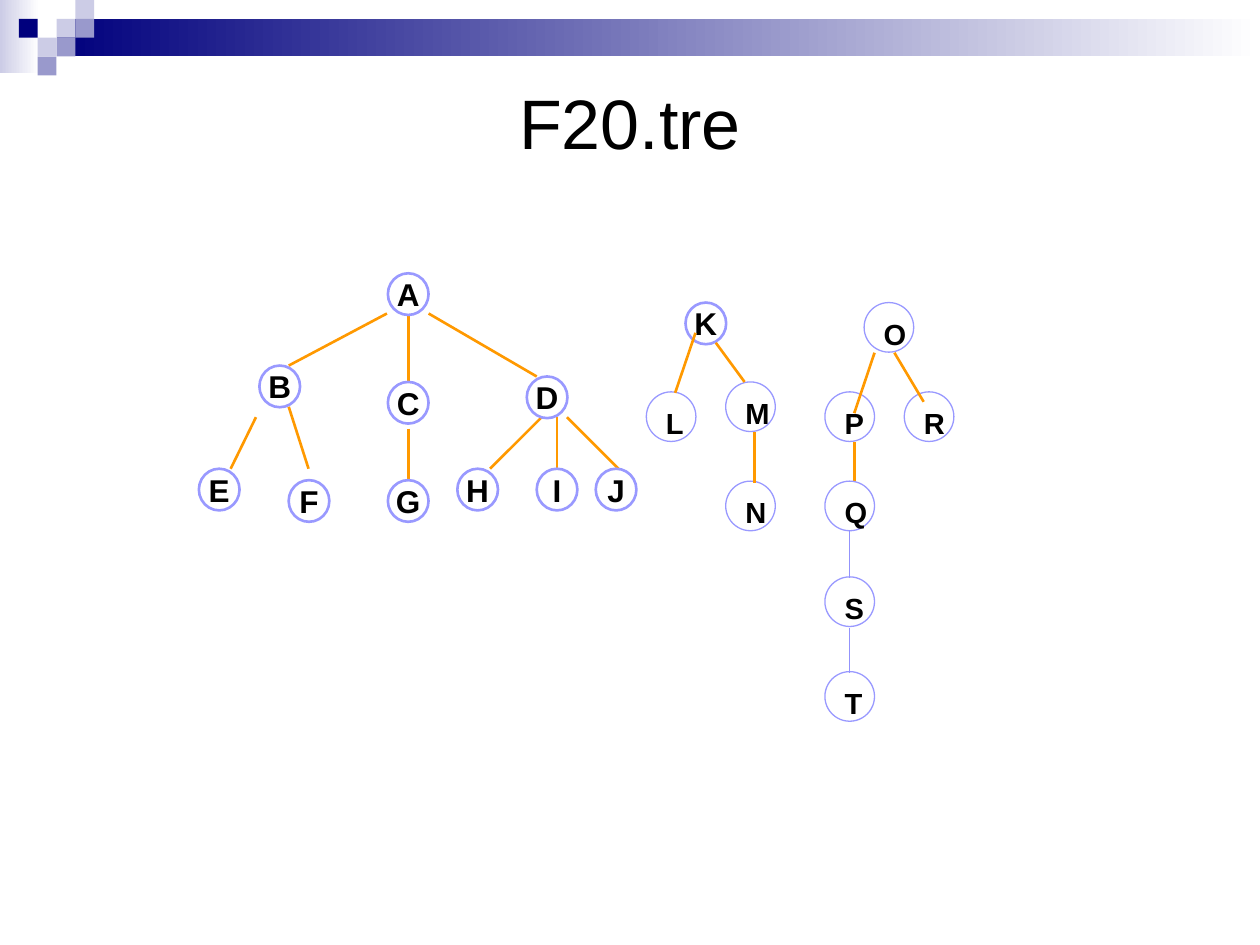
from lxml.etree import SubElement
from pptx import Presentation
from pptx.dml.color import RGBColor
from pptx.enum.shapes import MSO_CONNECTOR, MSO_SHAPE
from pptx.enum.text import MSO_ANCHOR, PP_ALIGN
from pptx.oxml.ns import qn
from pptx.util import Cm, Pt

NAVY, LILAC, PALE, WHITE = "00007D", "9999CC", "CCCCE6", "FFFFFF"
OUTLINE, THIN_EDGE, EDGE, BLACK = "9999FF", "9393FC", "FF9900", "000000"


def color(value):
    return RGBColor.from_string(value)


class TreeSlide:
    font_name = "Arial"

    def __init__(self, slide):
        self.slide = slide

    def shape(self, kind, left, top, width, height):
        shape = self.slide.shapes.add_shape(
            kind, Cm(left), Cm(top), Cm(width), Cm(height))
        shape.shadow.inherit = False
        return shape

    def rectangle(self, left, top, width, height, fill, fade_to=None):
        shape = self.shape(MSO_SHAPE.RECTANGLE, left, top, width, height)
        shape.line.fill.background()
        if fade_to:
            shape.fill.gradient()
            shape.fill.gradient_angle = 0
            for stop, stop_color in zip(shape.fill.gradient_stops, (fill, fade_to)):
                stop.color.rgb = color(stop_color)
        else:
            shape.fill.solid()
            shape.fill.fore_color.rgb = color(fill)

    def add_text(self, shape, text, size, alignment, anchor, wrap, bold=False):
        frame = shape.text_frame
        frame.word_wrap = wrap
        frame.vertical_anchor = anchor
        paragraph = frame.paragraphs[0]
        paragraph.alignment = alignment
        run = paragraph.add_run()
        run.text = text
        run.font.name = self.font_name
        run.font.size = Pt(size)
        run.font.bold = bold
        run.font.color.rgb = color(BLACK)

    def title(self, text):
        box = self.slide.shapes.add_textbox(Cm(1.27), Cm(1.27), Cm(22.86), Cm(2.34))
        self.add_text(box, text, 40, PP_ALIGN.CENTER, MSO_ANCHOR.MIDDLE, True)

    def circle(self, left, top, width, height, line_width):
        shape = self.shape(MSO_SHAPE.OVAL, left, top, width, height)
        shape.fill.solid()
        shape.fill.fore_color.rgb = color(WHITE)
        shape.line.color.rgb = color(OUTLINE)
        shape.line.width = Pt(line_width)
        return shape

    def small_node(self, letter, left, top):
        shape = self.circle(left, top, 0.82, 0.84, 1.5)
        self.add_text(shape, letter, 18, PP_ALIGN.CENTER, MSO_ANCHOR.MIDDLE, False, True)

    def large_node(self, letter, left, top):
        shape = self.circle(left, top, 1, 1, 0.75)
        self.add_text(shape, letter, 16.6, PP_ALIGN.JUSTIFY, MSO_ANCHOR.TOP, True, True)

    def edge(self, x1, y1, x2, y2, line_color=EDGE, line_width=1.5):
        line = self.slide.shapes.add_connector(
            MSO_CONNECTOR.STRAIGHT, Cm(x1), Cm(y1), Cm(x2), Cm(y2))
        line.line.color.rgb = color(line_color)
        line.line.width = Pt(line_width)
        SubElement(line._element.spPr, qn("a:effectLst"))


def main():
    presentation = Presentation()
    presentation.slide_width = Cm(25.4)
    presentation.slide_height = Cm(19.05)
    tree = TreeSlide(presentation.slides.add_slide(presentation.slide_layouts[6]))

    # Header band and its checkered squares (column, row)
    tree.rectangle(0, 0, 0.79, 1.47, PALE, WHITE)
    tree.rectangle(1.14, 0.38, 24.26, 0.76, NAVY, WHITE)
    cell = 0.38
    for column, row, fill in [
        (3, 1, PALE), (4, 0, PALE), (4, 1, LILAC), (2, 2, PALE),
        (1, 1, NAVY), (3, 2, LILAC), (2, 3, LILAC),
    ]:
        tree.rectangle(column * cell, row * cell, cell, cell, fill)

    tree.title("F20.tre")

    # Edges behind the nodes
    for ends in [
        (7.8, 6.32, 5.82, 7.37),      # A-B
        (8.64, 6.32, 10.82, 7.59),    # A-D
        (8.23, 6.32, 8.23, 7.8),      # A-C
        (8.23, 8.64, 8.23, 9.65),     # C-G
        (17.22, 8.92, 17.22, 10.13),  # P-Q
        (11.23, 8.41, 11.23, 9.45),   # D-I
        (5.82, 8.2, 6.22, 9.45),      # B-F
        (5.16, 8.41, 4.65, 9.45),     # B-E
        (11.43, 8.41, 12.47, 9.45),   # D-J
        (10.92, 8.41, 9.88, 9.45),    # D-H
    ]:
        tree.edge(*ends)

    # Nodes of the first tree and the root of the second
    for node in [
        ("A", 7.82, 5.51), ("B", 5.23, 7.37), ("C", 7.82, 7.7), ("G", 7.82, 9.68),
        ("F", 5.82, 9.68), ("E", 4.01, 9.45), ("H", 9.22, 9.45), ("I", 10.82, 9.45),
        ("J", 12.01, 9.45), ("K", 13.82, 6.1), ("D", 10.62, 7.59),
    ]:
        tree.small_node(*node)

    # Other nodes of the second and third trees
    for node in [
        ("L", 13.03, 7.9), ("M", 14.63, 7.7), ("N", 14.63, 9.7),
        ("O", 17.42, 6.1), ("P", 16.63, 7.9), ("Q", 16.63, 9.7),
        ("R", 18.23, 7.9), ("S", 16.63, 11.63), ("T", 16.63, 13.54),
    ]:
        tree.large_node(*node)

    # Edges in front of the nodes
    for ends in [
        (14.43, 6.91, 15.01, 7.7),   # K-M
        (17.63, 7.11, 17.22, 8.33),  # O-P
        (15.21, 8.71, 15.21, 9.73),  # M-N
        (18.03, 7.11, 18.62, 8.1),   # O-R
        (14.02, 6.71, 13.61, 7.92),  # K-L
    ]:
        tree.edge(*ends)
    for top, bottom in [(10.69, 11.66), (12.65, 13.56)]:  # Q-S, S-T
        tree.edge(17.13, top, 17.13, bottom, THIN_EDGE, 0.75)

    presentation.save("out.pptx")


if __name__ == "__main__":
    main()
